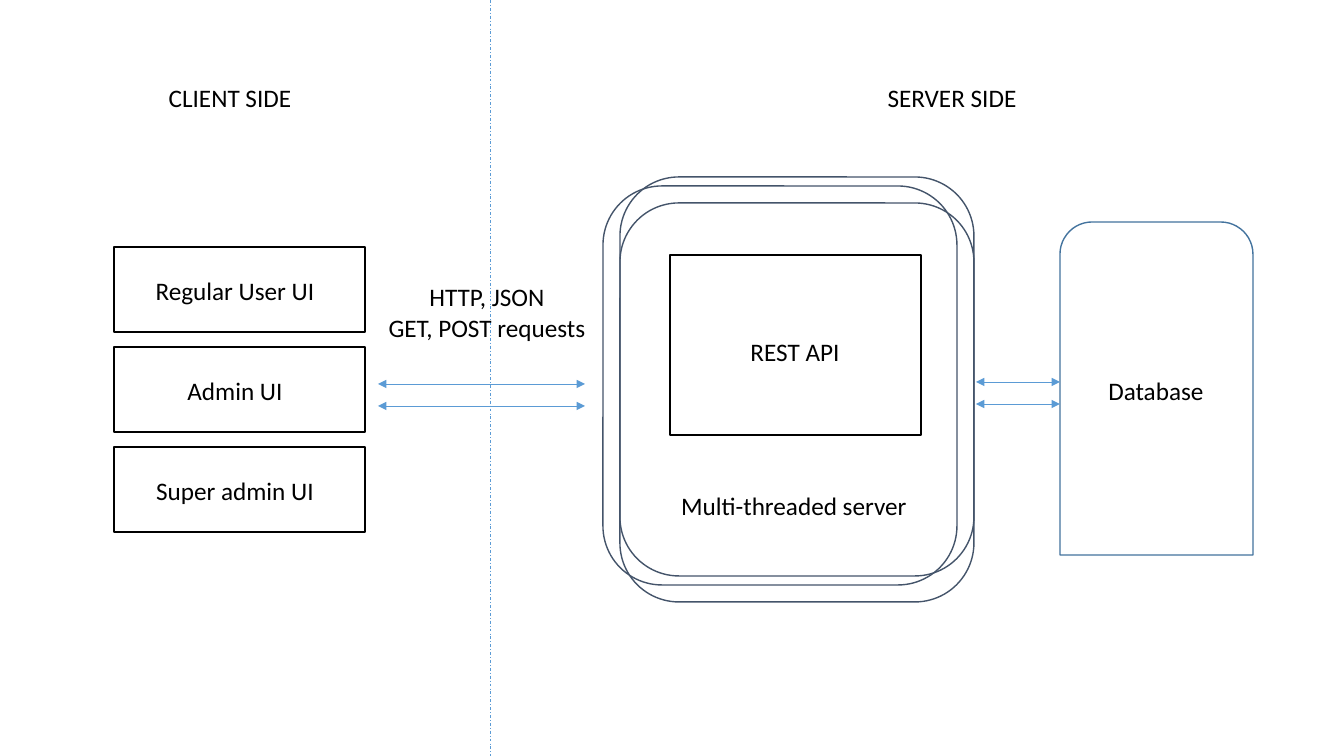
from lxml import etree
from pptx import Presentation, util as u
from pptx.dml.color import RGBColor
from pptx.enum import dml, shapes, text
from pptx.oxml.ns import qn

COLORS = {"black": "000000", "arrow": "5B9BD5", "server": "44546A", "database": "43739E"}
FONT = {"name": "Calibri", "size": u.Pt(18)}
FRAME = {"margin_left": 0, "margin_right": 0, "margin_top": 0, "margin_bottom": 0,
         "word_wrap": False, "vertical_anchor": text.MSO_ANCHOR.MIDDLE}
SCALE = 914400 / 100.8
WIDTH, HEIGHT = 1344, 756
LINE_HEIGHT = 30

CLIENTS = ["Regular User UI", "Admin UI", "Super admin UI"]
CLIENT_BOX = (114, 247, 251, 85)
CLIENT_STEP, CLIENT_LABEL_X = 100, 235
SERVER_LAYERS = [(620, 177), (603, 186), (620, 203)]
SERVER_SIZE = (354, 399)
API_BOX = (670, 255, 251, 180)
DATABASE_BOX = (1060, 222, 193, 333)
LABELS = [
    (["CLIENT SIDE"], 230, 97, 144),
    (["SERVER SIDE"], 952, 97, 150),
    (["HTTP, JSON", "GET, POST requests"], 487, 312, 219),
    (["REST API"], 795, 351, 110),
    (["Multi-threaded server"], 794, 505, 249),
    (["Database"], 1156, 390, 152),
]
DIVIDER_X = 490
ARROW_PAIRS = [(378, 585, 384), (976, 1060, 382)]
ARROW_GAP = 22


def px(*values):
    return [round(v * SCALE) for v in values]


def outline(kind, box, color):
    sp = s.shapes.add_shape(kind, *px(*box))
    sp.shadow.inherit = False
    sp.fill.background()
    sp.line.color.rgb = RGBColor.from_string(COLORS[color])
    sp.line.width = u.Pt(1)


def label(lines, cx, cy, w):
    h = LINE_HEIGHT * len(lines)
    tf = s.shapes.add_textbox(*px(cx - w / 2, cy - h / 2, w, h)).text_frame
    for name, value in FRAME.items():
        setattr(tf, name, value)
    for i, line in enumerate(lines):
        p = tf.add_paragraph() if i else tf.paragraphs[0]
        p.alignment = text.PP_ALIGN.CENTER
        r = p.add_run()
        r.text = line
        for name, value in FONT.items():
            setattr(r.font, name, value)
        r.font.color.rgb = RGBColor.from_string(COLORS["black"])


def connect(x1, y1, x2, y2):
    cn = s.shapes.add_connector(shapes.MSO_CONNECTOR.STRAIGHT, *px(x1, y1, x2, y2))
    cn.line.color.rgb = RGBColor.from_string(COLORS["arrow"])
    cn.line.width = u.Pt(0.5)
    etree.SubElement(cn._element.spPr, qn("a:effectLst"))
    return cn


prs = Presentation()
prs.slide_width, prs.slide_height = px(WIDTH, HEIGHT)
s = prs.slides.add_slide(prs.slide_layouts[6])

connect(DIVIDER_X, 0, DIVIDER_X, HEIGHT).line.dash_style = dml.MSO_LINE.DASH_DOT

left, top, w, h = CLIENT_BOX
for i, client in enumerate(CLIENTS):
    y = top + i * CLIENT_STEP
    outline(shapes.MSO_SHAPE.RECTANGLE, (left, y, w, h), "black")
    label([client], CLIENT_LABEL_X, y + h / 2 + 1, w - 50)

outline(shapes.MSO_SHAPE.ROUND_2_SAME_RECTANGLE, DATABASE_BOX, "database")
outline(shapes.MSO_SHAPE.RECTANGLE, API_BOX, "black")
for corner in SERVER_LAYERS:
    outline(shapes.MSO_SHAPE.ROUNDED_RECTANGLE, corner + SERVER_SIZE, "server")

for x1, x2, y in ARROW_PAIRS:
    for arrow_y in (y, y + ARROW_GAP):
        ln = connect(x1, arrow_y, x2, arrow_y).line._get_or_add_ln()
        for end in ("a:headEnd", "a:tailEnd"):
            etree.SubElement(ln, qn(end), type="triangle")

for item in LABELS:
    label(*item)

prs.save("out.pptx")
